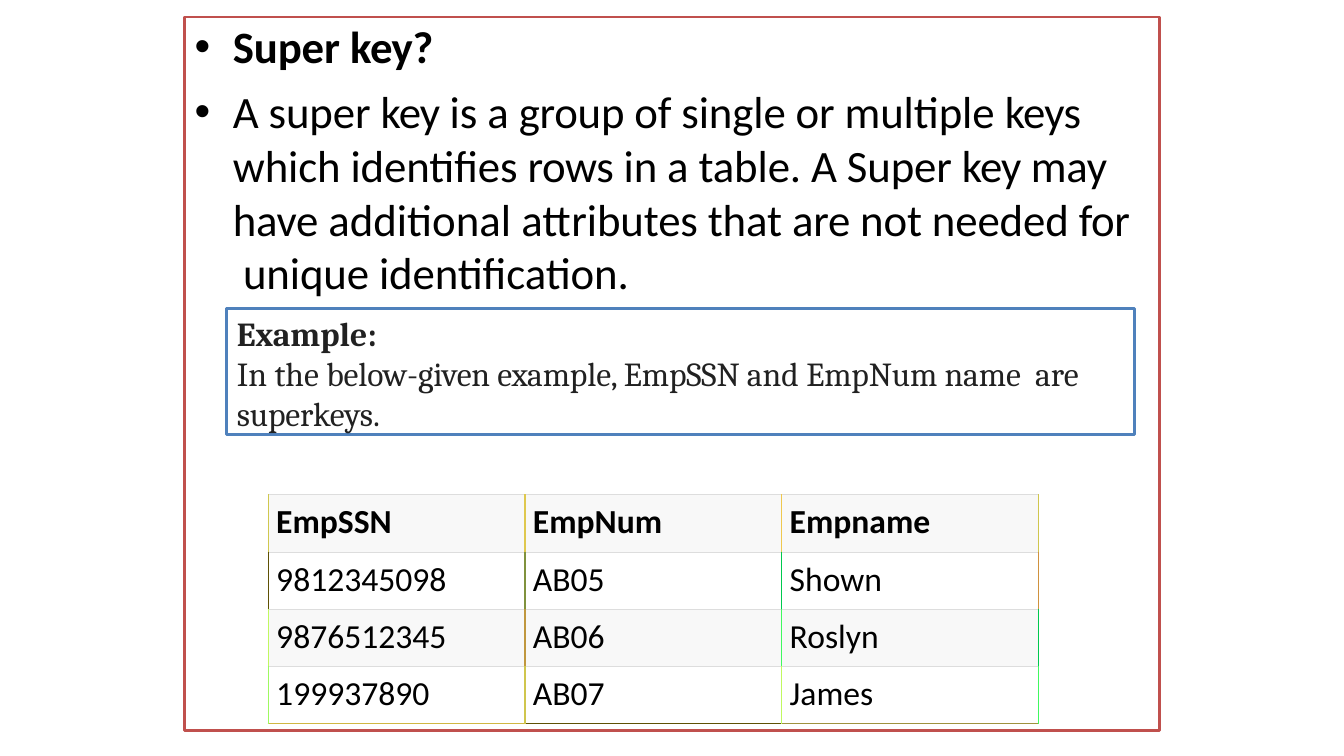
from lxml.etree import SubElement
from pptx import Presentation
from pptx.dml.color import RGBColor
from pptx.enum.shapes import MSO_SHAPE
from pptx.enum.text import MSO_ANCHOR, MSO_AUTO_SIZE, PP_ALIGN
from pptx.oxml.ns import qn
from pptx.util import Inches, Pt

# Runs are (text, letter spacing in points)
HEAD = [("Super ", -0.1), ("key?", -0.3)]
BODY = [
    ("A super ", -0.1), ("key ", -0.6), ("is", 0), (" a ", -0.1),
    ("group ", -0.2), ("of single or multiple ", -0.1), ("keys  ", -0.5),
    ("which identifies ", -0.1), ("rows ", -0.3),
    ("in a table. A Super ", -0.1), ("key ", -0.6), ("may  have ", -0.2),
    ("additional ", 0), ("attributes that ", -0.1), ("are ", -0.2),
    ("not needed ", -0.1), ("for  ", -0.3), ("unique identification.", -0.1),
]
EXAMPLE = [
    ("In the ", 0), ("below-given example, EmpSSN ", -0.1), ("and ", 0),
    ("EmpNum name  ", -0.1), ("are", 0), (" superkeys.", -0.1),
]
ROWS = [
    ["EmpSSN", "EmpNum", "Empname"],
    ["9812345098", "AB05", "Shown"],
    ["9876512345", "AB06", "Roslyn"],
    ["199937890", "AB07", "James"],
]
# Upright rules of each row from left to right, then the bottom edge
RULES = [
    ["D0C84E", "DFC84E", "EFC84E", "D0C64E"],
    ["5F5104", "80923E", "00C94E", "D0923E"],
    ["C0F860", "C0973E", "40F960", "00C94E"],
    ["9FF960", "D0C64E", "C0F960", "40F960"],
]
BOTTOM = ["D0B742", "5F5104", "9F923E"]
GREY = "DDDDDD"


def color(code):
    return RGBColor.from_string(code)


def add_runs(para, runs, size, font, code, bold=False):
    para.alignment = PP_ALIGN.LEFT
    for text, gap in runs:
        run = para.add_run()
        run.text = text
        run.font.size = Pt(size)
        run.font.name = font
        run.font.bold = bold
        run.font.color.rgb = color(code)
        run.font._element.set("spc", str(round(gap * 100)))


def indent(para, left, first=0):
    props = para._p.get_or_add_pPr()
    props.set("marL", str(Inches(left)))
    props.set("indent", str(Inches(first)))
    return props


def add_bullet(para):
    props = indent(para, 0.39, -0.38)
    SubElement(props, qn("a:buFont"), typeface="Arial")
    SubElement(props, qn("a:buChar"), char="•")


def set_frame(frame, top):
    frame.word_wrap = True
    frame.auto_size = MSO_AUTO_SIZE.SHAPE_TO_FIT_TEXT
    frame.vertical_anchor = MSO_ANCHOR.TOP
    frame.margin_left = frame.margin_right = frame.margin_bottom = 0
    frame.margin_top = Inches(top)


def add_box(slide, left, top, width, height, code):
    box = slide.shapes.add_shape(
        MSO_SHAPE.RECTANGLE, Inches(left), Inches(top),
        Inches(width), Inches(height))
    box.shadow.inherit = False
    box.fill.background()
    box.line.color.rgb = color(code)
    box.line.width = Pt(1.92)
    return box


def add_points(slide):
    box = slide.shapes.add_textbox(
        Inches(1.92), Inches(0.07), Inches(9.37), Inches(2.91))
    frame = box.text_frame
    set_frame(frame, 0.12)
    head, body = frame.paragraphs[0], frame.add_paragraph()
    for para in (head, body):
        add_bullet(para)
    body.space_before = Pt(7.7)
    add_runs(head, HEAD, 32, "Calibri", "000000", True)
    add_runs(body, BODY, 32, "Calibri", "000000")


def add_example(slide):
    frame = add_box(slide, 2.25, 3.06, 9, 1.25, "4F81BC").text_frame
    set_frame(frame, 0.04)
    head, body = frame.paragraphs[0], frame.add_paragraph()
    for para in (head, body):
        indent(para, 0.1)
    add_runs(head, [("Example:", 0)], 24, "Cambria", "212121", True)
    add_runs(body, EXAMPLE, 24, "Cambria", "212121")


def add_edge(props, side, code, width):
    line = SubElement(props, qn("a:" + side), w=str(Pt(width)))
    fill = SubElement(line, qn("a:solidFill"))
    SubElement(fill, qn("a:srgbClr"), val=code)


def fill_cell(cell, row, col):
    cell.margin_left = cell.margin_right = cell.margin_bottom = 0
    cell.margin_top = Inches(0.07)
    cell.vertical_anchor = MSO_ANCHOR.TOP
    para = cell.text_frame.paragraphs[0]
    indent(para, 0.08)
    add_runs(para, [(ROWS[row][col], 0)], 24, "Calibri", "000000", row == 0)

    # Edges come before the fill in the cell's properties
    props = cell._tc.get_or_add_tcPr()
    last = row == len(ROWS) - 1
    add_edge(props, "lnL", RULES[row][col], 1)
    add_edge(props, "lnR", RULES[row][col + 1], 1)
    add_edge(props, "lnT", GREY, 0.75)
    add_edge(props, "lnB", BOTTOM[col] if last else GREY, 1 if last else 0.75)
    if row % 2 == 0:
        cell.fill.solid()
        cell.fill.fore_color.rgb = color("F8F8F8")
    else:
        cell.fill.background()


def add_grid(slide):
    table = slide.shapes.add_table(
        len(ROWS), len(ROWS[0]), Inches(2.66), Inches(4.91),
        Inches(7.64), Inches(2.27)).table
    table.first_row = table.horz_banding = False
    for row, names in enumerate(ROWS):
        for col in range(len(names)):
            fill_cell(table.cell(row, col), row, col)


def main():
    deck = Presentation()
    deck.slide_width, deck.slide_height = Inches(13.33), Inches(7.5)
    slide = deck.slides.add_slide(deck.slide_layouts[6])

    # Red frame around the content
    add_box(slide, 1.83, 0.17, 9.67, 7.08, "C0504D")
    add_points(slide)
    add_grid(slide)
    add_example(slide)
    deck.save("out.pptx")


if __name__ == "__main__":
    main()
